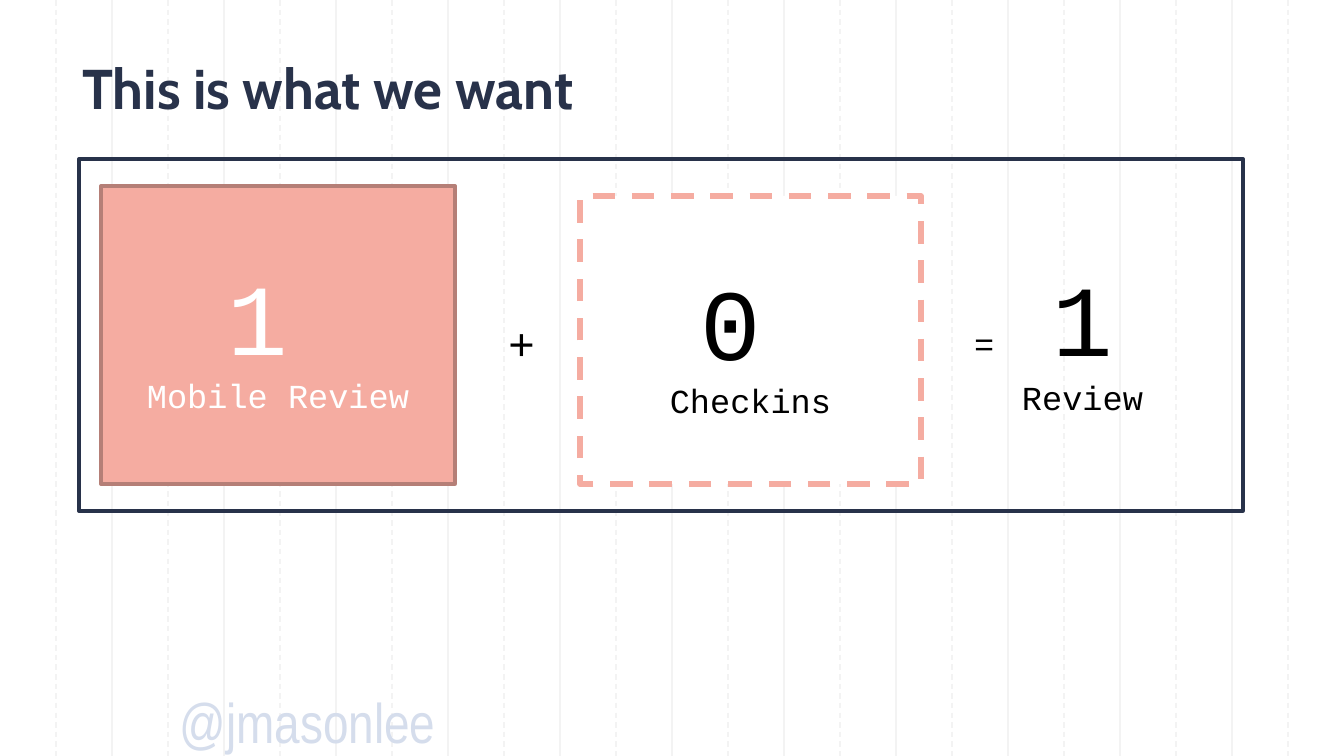
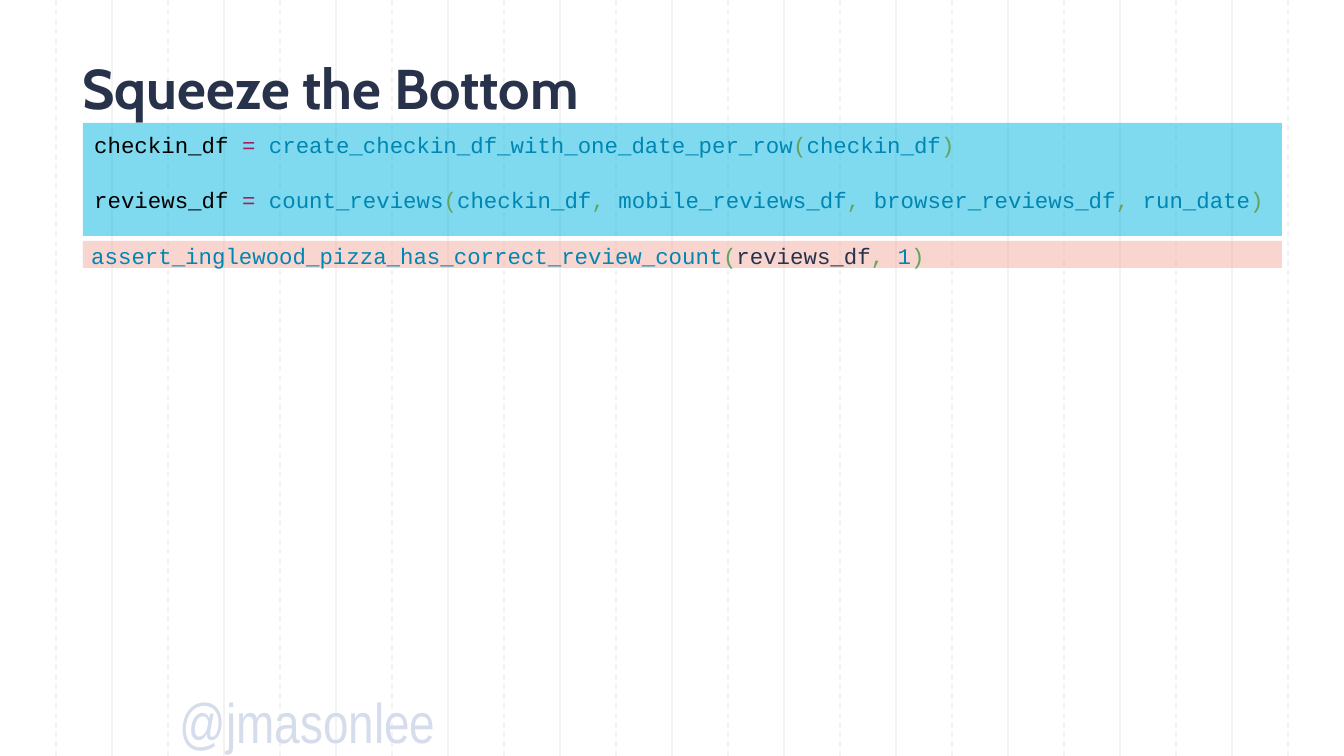
from lxml import etree
from pptx import Presentation
from pptx import util as u
from pptx.dml.color import RGBColor
from pptx.enum import dml, shapes, text
from pptx.oxml import ns

WIDTH, HEIGHT = 1344, 756
EMU_PER_PX = 9144000 / WIDTH

WHITE = RGBColor(0xFF, 0xFF, 0xFF)
BLACK = RGBColor(0x00, 0x00, 0x00)
NAVY = RGBColor(0x28, 0x32, 0x4A)
GRID = RGBColor(0xF3, 0xF3, 0xF3)
HANDLE = RGBColor(0xD5, 0xDD, 0xEC)
SALMON = RGBColor(0xF5, 0xAC, 0xA1)
SALMON_DARK = RGBColor(0xB5, 0x7F, 0x77)
CYAN = RGBColor(0x00, 0xB6, 0xE0)
CODE_NAME = RGBColor(0x00, 0x86, 0xB3)
CODE_MARK = RGBColor(0x63, 0xA3, 0x5C)
CODE_EQUALS = RGBColor(0xA7, 0x1D, 0x5D)

TITLE_FONT = "Cabin"
CODE_FONT = "Courier New"
HANDLE_FONT = "Arial Narrow"


def px(length):
    return u.Emu(round(length * EMU_PER_PX))


def write(frame, lines, font=CODE_FONT, bold=False, align=text.PP_ALIGN.LEFT):
    """Fill a text frame with lines, each a list of (wording, size, colour)."""
    for number, runs in enumerate(lines):
        para = frame.add_paragraph() if number else frame.paragraphs[0]
        para.alignment = align
        for wording, size, colour in runs:
            span = para.add_run()
            span.text = wording
            span.font.name = font
            span.font.size = u.Pt(size)
            span.font.bold = bold
            span.font.color.rgb = colour


def add_text(page, area, lines, wrap=False, inset=True, **style):
    box = page.shapes.add_textbox(*map(px, area))
    frame = box.text_frame
    frame.word_wrap = wrap
    if not inset:
        frame.margin_left = frame.margin_right = 0
        frame.margin_top = frame.margin_bottom = 0
    write(frame, lines, **style)
    return frame


def add_rect(page, area, fill=None, line=None, weight=2, dashed=False, alpha=None):
    rect = page.shapes.add_shape(shapes.MSO_SHAPE.RECTANGLE, *map(px, area))
    rect.shadow.inherit = False
    if fill is None:
        rect.fill.background()
    else:
        rect.fill.solid()
        rect.fill.fore_color.rgb = fill
    if alpha is not None:
        colour = rect._element.spPr.find(".//" + ns.qn("a:srgbClr"))
        etree.SubElement(colour, ns.qn("a:alpha")).set("val", str(alpha * 1000))
    if line is None:
        rect.line.fill.background()
    else:
        rect.line.color.rgb = line
        rect.line.width = u.Pt(weight)
    if dashed:
        rect.line.dash_style = dml.MSO_LINE.DASH
    return rect


def add_grid(page):
    """Vertical guides at equal gaps: solid on even steps, dashed on odd ones."""
    gap = 56
    for step in [*range(2, 24, 2), *range(1, 24, 2)]:
        guide = page.shapes.add_connector(
            shapes.MSO_CONNECTOR.STRAIGHT, px(step * gap), 0, px(step * gap), px(HEIGHT))
        guide.line.color.rgb = GRID
        guide.line.width = u.Pt(0.75)
        if step % 2:
            guide.line.dash_style = dml.MSO_LINE.DASH
        etree.SubElement(guide._element.spPr, ns.qn("a:effectLst"))


def add_title(page, title):
    frame = add_text(page, (82, 59, 1176, 65), [[(title, 30, NAVY)]],
                     wrap=True, inset=False, font=TITLE_FONT, bold=True)
    frame.vertical_anchor = text.MSO_ANCHOR.MIDDLE
    frame.paragraphs[0].line_spacing = 0.9


def add_page(deck):
    page = deck.slides.add_slide(deck.slide_layouts[6])
    page.background.fill.solid()
    page.background.fill.fore_color.rgb = WHITE
    add_grid(page)
    add_text(page, (180, 688, 260, 64), [[("@jmasonlee", 30, HANDLE)]],
             inset=False, font=HANDLE_FONT)
    return page


def add_count_card(page, area, count, label, colour, **look):
    card = add_rect(page, area, **look)
    card.text_frame.word_wrap = True
    card.text_frame.vertical_anchor = text.MSO_ANCHOR.MIDDLE
    write(card.text_frame,
          [[(count, 54, colour), (" ", 36, colour)], [(label, 18, colour)]],
          align=text.PP_ALIGN.CENTER)


def add_equation(page, area):
    """Framed sum of reviews and check-ins, placed from the frame's corner."""
    left, top, _, _ = area
    add_count_card(page, (left + 22, top + 27, 354, 298), "1", "Mobile Review", WHITE,
                   fill=SALMON, line=SALMON_DARK)
    add_text(page, (left + 416, top + 150, 54, 67), [[("+", 24, BLACK)]])
    add_text(page, (left + 882, top + 157, 47, 54), [[("=", 18, BLACK)]])
    add_text(page, (left + 929, top + 90, 149, 176),
             [[("1", 54, BLACK)], [("Review", 18, BLACK)]], align=text.PP_ALIGN.CENTER)
    add_rect(page, area, line=NAVY)
    add_count_card(page, (left + 501, top + 37, 341, 288), "0", "Checkins", BLACK,
                   fill=WHITE, line=SALMON, weight=3, dashed=True)


def code_line(*parts):
    return [(wording, 12, colour) for wording, colour in parts]


def code_call(function, *arguments):
    """Coloured parts of a call; each argument is a (wording, colour) pair."""
    parts = [(function, CODE_NAME), ("(", CODE_MARK)]
    for number, argument in enumerate(arguments):
        if number:
            parts.append((", ", CODE_MARK))
        parts.append(argument)
    return [*parts, (")", CODE_MARK)]


def code_assignment(target, function, *names):
    return code_line((target + " ", BLACK), ("= ", CODE_EQUALS),
                     *code_call(function, *((name, CODE_NAME) for name in names)))


def add_code(page, area):
    """Test code over two tinted bars, placed from the upper bar's corner."""
    left, top, width, height = area
    add_rect(page, (left, top + 118, width, 27), fill=SALMON, alpha=50)
    add_rect(page, area, fill=CYAN, alpha=50)
    check = code_call("assert_inglewood_pizza_has_correct_review_count",
                      ("reviews_df", NAVY), ("1", CODE_NAME))
    add_text(page, (left - 5, top + 113, 1082, 40), [code_line(*check)], wrap=True)
    steps = [
        code_assignment("checkin_df", "create_checkin_df_with_one_date_per_row", "checkin_df"),
        code_assignment("reviews_df", "count_reviews", "checkin_df", "mobile_reviews_df",
                        "browser_reviews_df", "run_date"),
    ]
    frame = add_text(page, (left - 2, top + 2, 1222, 95), steps, wrap=True)
    frame.paragraphs[1].space_before = u.Pt(15)


def build_goal(deck):
    page = add_page(deck)
    add_title(page, "This is what we want")
    add_equation(page, (79, 159, 1164, 352))


def build_code(deck):
    page = add_page(deck)
    add_code(page, (83, 123, 1199, 113))
    add_title(page, "Squeeze the Bottom")


def main():
    deck = Presentation()
    deck.slide_width, deck.slide_height = px(WIDTH), px(HEIGHT)
    build_goal(deck)
    build_code(deck)
    deck.save("out.pptx")


if __name__ == "__main__":
    main()
